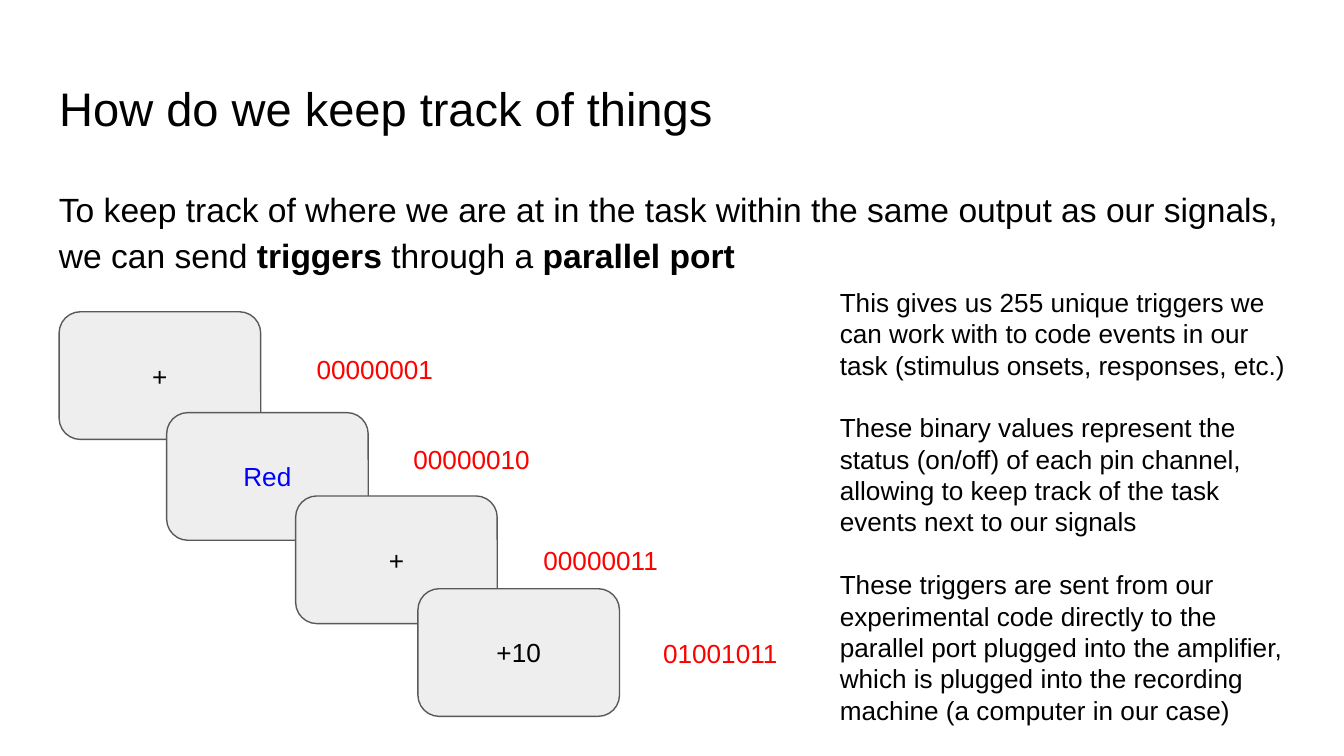
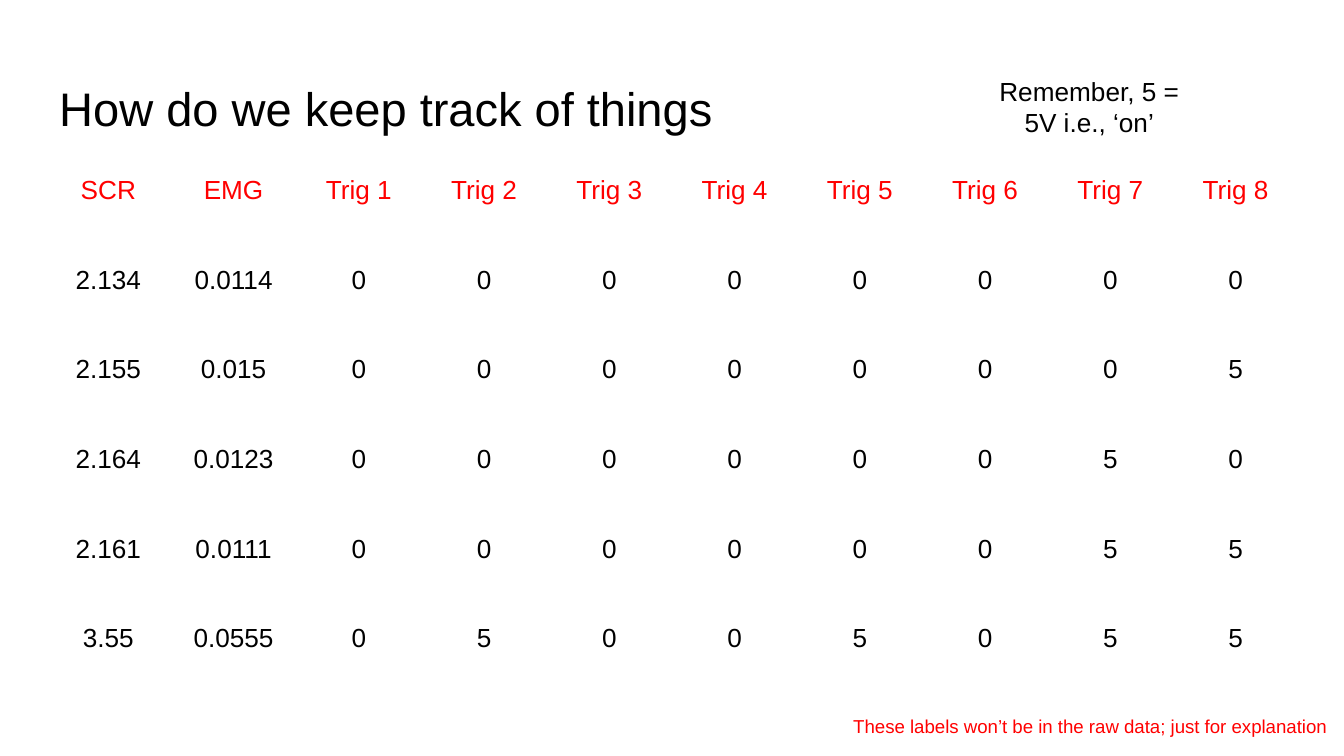
"""Build two slides on tracking task events with parallel port triggers."""
from pptx import Presentation
from pptx import util as u
from pptx.dml.color import RGBColor
from pptx.enum import shapes, text

BLACK, RED, BLUE = "000000", "FF0000", "0000FF"
PANEL, OUTLINE = "EEEEEE", "595959"
LEFT, CENTER = text.PP_ALIGN.LEFT, text.PP_ALIGN.CENTER

presentation = Presentation()
presentation.slide_width = u.Inches(10)
presentation.slide_height = u.Inches(5.625)


def area(left, top, width, height):
    """Turn percentages of the slide into a position and size."""
    across, down = presentation.slide_width / 100, presentation.slide_height / 100
    return [round(share * unit) for share, unit in
            zip((left, top, width, height), (across, down, across, down))]


def write(frame, paragraphs, size=14, color=BLACK, align=LEFT, gap=0, spacing=None):
    """Write paragraphs into a frame; parts between ** marks are bold."""
    for index, content in enumerate(paragraphs):
        paragraph = frame.add_paragraph() if index else frame.paragraphs[0]
        layout = {"alignment": align, "line_spacing": spacing,
                  "space_before": u.Pt(gap if index else 0)}
        for name, value in layout.items():
            setattr(paragraph, name, value)
        for part, words in enumerate(content.split("**")):
            if words:
                run = paragraph.add_run()
                run.text = words
                style = {"name": "Arial", "size": u.Pt(size), "bold": part % 2 == 1}
                for name, value in style.items():
                    setattr(run.font, name, value)
                run.font.color.rgb = RGBColor.from_string(color)


frame_format = {"word_wrap": True, "auto_size": text.MSO_AUTO_SIZE.NONE,
                "vertical_anchor": text.MSO_ANCHOR.TOP}
frame_format.update({f"margin_{side}": u.Inches(0.1)
                     for side in ("left", "top", "right", "bottom")})

slides = []
for number in range(2):
    slide = presentation.slides.add_slide(presentation.slide_layouts[5])
    title = slide.shapes.title
    title.left, title.top, title.width, title.height = area(3.4, 8.71, 93.2, 11.2)
    for name, value in frame_format.items():
        setattr(title.text_frame, name, value)
    write(title.text_frame, ["How do we keep track of things"], size=25.2)
    slides.append(slide)
trigger_slide, data_slide = slides

screens = [
    ("+", BLACK, 4.4, 41.24),
    ("Red", BLUE, 12.4, 54.58),
    ("+", BLACK, 22, 65.6),
    ("+10", BLACK, 31.1, 77.87),
]
for label, color, left, top in screens:
    screen = trigger_slide.shapes.add_shape(
        shapes.MSO_SHAPE.ROUNDED_RECTANGLE, *area(left, top, 15, 16.89))
    screen.shadow.inherit = False
    screen.fill.solid()
    screen.fill.fore_color.rgb = RGBColor.from_string(PANEL)
    screen.line.color.rgb = RGBColor.from_string(OUTLINE)
    screen.line.width = u.Pt(0.75)
    for name, value in frame_format.items():
        setattr(screen.text_frame, name, value)
    screen.text_frame.vertical_anchor = text.MSO_ANCHOR.MIDDLE
    write(screen.text_frame, [label], color=color, align=CENTER)

code = {"color": RED, "align": CENTER}
text_boxes = [
    (trigger_slide, (3.4, 22.4, 93.2, 66.49), [
        "To keep track of where we are at in the task within the same output as our "
        "signals, we can send **triggers **through a **parallel port**"],
     {"size": 18, "spacing": 1.15}),
    (trigger_slide, (20.1, 44.98, 15.6, 7.82), ["00000001"], code),
    (trigger_slide, (27.3, 56.89, 15.6, 7.82), ["00000010"], code),
    (trigger_slide, (36.9, 70.22, 15.6, 7.82), ["00000011"], code),
    (trigger_slide, (46.1, 82.49, 15, 7.82), ["01001011"], code),
    (trigger_slide, (61.5, 36.09, 35.9, 62.22), [
        "This gives us 255 unique triggers we can work with to code events in our "
        "task (stimulus onsets, responses, etc.)",
        "These binary values represent the status (on/off) of each pin channel, "
        "allowing to keep track of the task events next to our signals",
        "These triggers are sent from our experimental code directly to the parallel "
        "port plugged into the amplifier, which is plugged into the recording machine "
        "(a computer in our case)"],
     {"gap": 16.8}),
    (data_slide, (72.5, 8.18, 17.1, 11.91), ["Remember, 5 = 5V i.e., ‘on’"],
     {"align": CENTER}),
    (data_slide, (62.5, 92.8, 37.5, 6.58),
     ["These labels won’t be in the raw data; just for explanation"],
     {"size": 10, "color": RED}),
]
for slide, place, paragraphs, style in text_boxes:
    frame = slide.shapes.add_textbox(*area(*place)).text_frame
    for name, value in frame_format.items():
        setattr(frame, name, value)
    write(frame, paragraphs, **style)

recordings = [
    ("2.134", "0.0114", "00000000"),
    ("2.155", "0.015", "00000005"),
    ("2.164", "0.0123", "00000050"),
    ("2.161", "0.0111", "00000055"),
    ("3.55", "0.0555", "05005055"),
]
rows = [["SCR", "EMG"] + [f"Trig {pin}" for pin in range(1, 9)]]
rows += [[scr, emg, *pins] for scr, emg, pins in recordings]
table = data_slide.shapes.add_table(
    len(rows), len(rows[0]), *area(3.4, 21.51, 93.2, 71.11)).table
table.first_row = table.horz_banding = False
for row_index, row in enumerate(rows):
    for column_index, value in enumerate(row):
        cell = table.cell(row_index, column_index)
        cell.fill.background()
        for side in ("left", "top", "right", "bottom"):
            setattr(cell, f"margin_{side}", u.Inches(0.1))
        write(cell.text_frame, [value], align=CENTER,
              color=BLACK if row_index else RED)

presentation.save("out.pptx")
